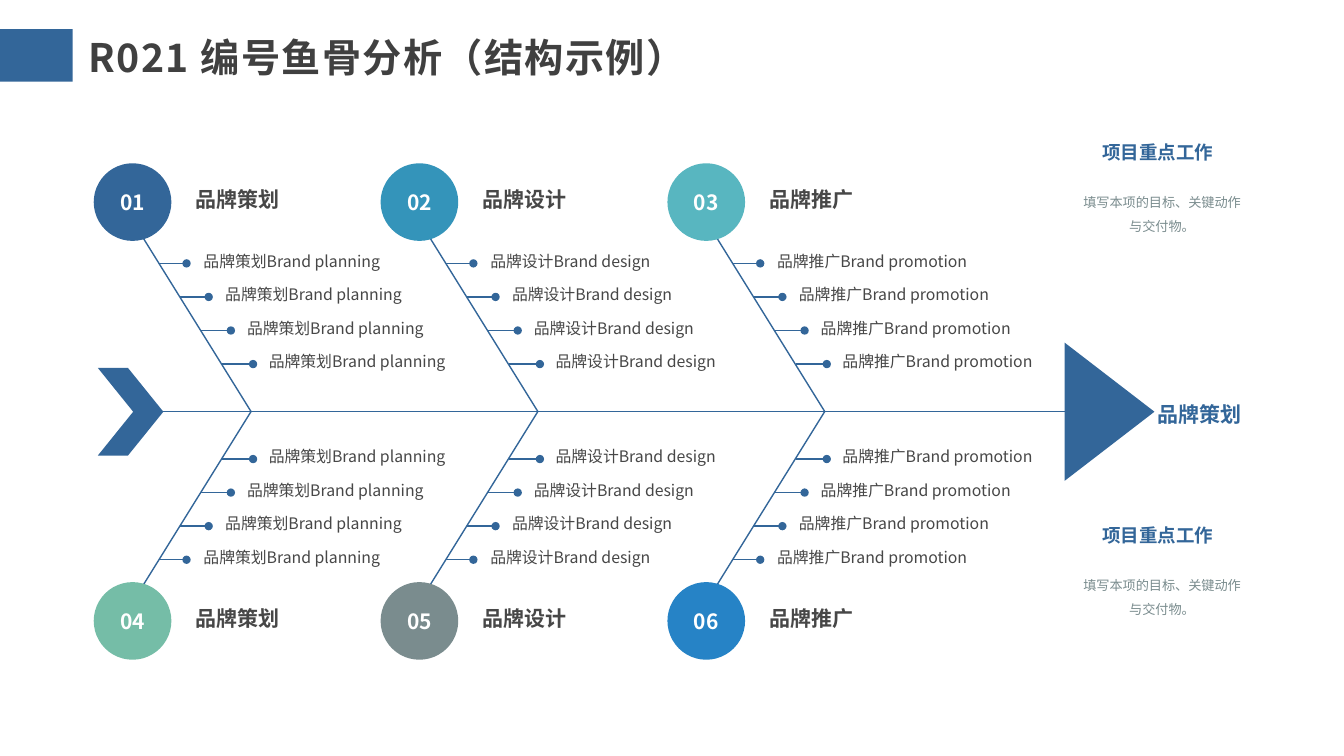
from lxml.etree import SubElement
from pptx import Presentation
from pptx.dml.color import RGBColor
from pptx.enum.shapes import MSO_CONNECTOR as Connector, MSO_SHAPE as Shape
from pptx.enum.text import MSO_ANCHOR as Anchor, MSO_AUTO_SIZE as AutoSize, PP_ALIGN as Align
from pptx.oxml.ns import qn
from pptx.util import Inches, Pt

COLORS = {
    "navy": "336699", "title": "404040", "text": "474747", "white": "FFFFFF",
    "blue": "3494BA", "teal": "58B6C0", "green": "75BDA7", "gray": "7A8C8E",
    "azure": "2683C6",
}
FONT = "Noto Sans CJK SC"
CELL = 0.1  # inches per grid column and row

BONE_PITCH = 28.45
SPINE_ROW = 40.83
TWIG_COUNT = 4
TWIG_ROW_STEP = 3.33
BRANCHES = [
    ("品牌策划", "Brand planning", "navy", "green"),
    ("品牌设计", "Brand design", "blue", "gray"),
    ("品牌推广", "Brand promotion", "teal", "azure"),
]


def grid(*cells):
    return [Inches(cell * CELL) for cell in cells]


def color(name):
    return RGBColor.from_string(COLORS[name])


def write(frame, text, size=11.3, fill="text", bold=False, align=Align.LEFT,
          anchor=Anchor.TOP, wrap=True, line_spacing=None, tracking=None):
    frame.word_wrap = wrap
    frame.vertical_anchor = anchor
    paragraph = frame.paragraphs[0]
    paragraph.alignment = align
    if line_spacing:
        paragraph.line_spacing = line_spacing
    run = paragraph.add_run()
    run.text = text
    run.font.name = FONT
    run.font.size = Pt(size)
    run.font.bold = bold
    run.font.color.rgb = color(fill)
    properties = run.font._element
    SubElement(properties, qn("a:ea"), typeface=FONT)
    if tracking:
        properties.set("spc", str(tracking * 100))


class FishboneSlide:
    def __init__(self, presentation):
        self.slide = presentation.slides.add_slide(presentation.slide_layouts[5])
        self.shapes = self.slide.shapes

    def title(self, text, left, top, width, height):
        title = self.shapes.title
        title.left, title.top, title.width, title.height = grid(left, top, width, height)
        write(title.text_frame, text, size=28, fill="title", bold=True,
              anchor=Anchor.MIDDLE, tracking=1)
        title.text_frame.auto_size = AutoSize.SHAPE_TO_FIT_TEXT

    def text(self, text, left, top, width, height, **style):
        box = self.shapes.add_textbox(*grid(left, top, width, height))
        write(box.text_frame, text, **style)
        box.text_frame.auto_size = AutoSize.SHAPE_TO_FIT_TEXT

    def shape(self, kind, left, top, width, height, fill="navy"):
        shape = self.shapes.add_shape(kind, *grid(left, top, width, height))
        shape.shadow.inherit = False
        shape.fill.solid()
        shape.fill.fore_color.rgb = color(fill)
        shape.line.fill.background()
        return shape

    def line(self, x1, y1, x2, y2, dot=False):
        connector = self.shapes.add_connector(Connector.STRAIGHT, *grid(x1, y1, x2, y2))
        connector.line.color.rgb = color("navy")
        connector.line.width = Pt(1)
        if dot:
            SubElement(connector.line._get_or_add_ln(), qn("a:tailEnd"), type="oval")
        SubElement(connector._element.spPr, qn("a:effectLst"))

    def number(self, number, left, top, fill):
        circle = self.shape(Shape.OVAL, left, top, 7.7, 7.7, fill)
        frame = circle.text_frame
        frame.margin_left = frame.margin_right = 0
        write(frame, f"{number:02d}", size=15, fill="white", bold=True,
              align=Align.CENTER, anchor=Anchor.MIDDLE, wrap=False)

    def bone(self, left, number, name, english, fill, upper):
        """Draw one slanted bone, its twigs, heading and numbered circle."""
        direction = 1 if upper else -1
        self.line(left + 4.85, SPINE_ROW - direction * 17.3, left + 15.6, SPINE_ROW, )
        for index in range(TWIG_COUNT):
            row = SPINE_ROW - direction * (14.7 - index * TWIG_ROW_STEP)
            self.line(left + 6.5 + index * 2.07, row,
                      left + 9.2 + index * 2.2, row, dot=True)
            self.text(name + english, left + 9.9 + index * 2.16, row - 1.7, 22.4, 2.8)
        circle_top = 16.2 if upper else 57.75
        self.text(name, left + 9.1, circle_top + 1.8, 10.3, 3.5, size=15, bold=True,
                  align=Align.CENTER, wrap=False)
        self.number(number, left, circle_top, fill)

    def focus(self, top):
        """Draw a key-work note whose heading starts at the given row."""
        self.text("项目重点工作", 107.7, top, 14.3, 3.2, size=13.2, fill="navy",
                  bold=True, align=Align.CENTER)
        self.text("填写本项的目标、关键动作与交付物。", 106.4, top + 4.55, 17.7, 12.5,
                  size=9.4, fill="gray", align=Align.CENTER, line_spacing=1.5)


def main():
    presentation = Presentation()
    presentation.slide_width = Inches(13.33)
    presentation.slide_height = Inches(7.5)

    fishbone = FishboneSlide(presentation)
    fishbone.shape(Shape.RECTANGLE, 0, 2.9, 7.2, 5.2)
    fishbone.title("R021 编号鱼骨分析（结构示例）", 7.8, 2.8, 102.8, 5.7)

    for index, (name, english, upper_fill, lower_fill) in enumerate(BRANCHES):
        left = 9.3 + index * BONE_PITCH
        fishbone.bone(left, index + 1, name, english, upper_fill, upper=True)
        fishbone.bone(left, index + 1 + len(BRANCHES), name, english, lower_fill, upper=False)

    fishbone.line(13.3, SPINE_ROW, 113, SPINE_ROW)
    head = fishbone.shape(Shape.ISOSCELES_TRIANGLE, 103.2, 36.4, 13.7, 8.9)
    head.rotation = 90
    tail = fishbone.shape(Shape.CHEVRON, 9.7, 36.5, 6.5, 8.7)
    tail.adjustments[0] = 0.54
    fishbone.text("品牌策划", 113.7, 39.3, 10.4, 3.5, size=15, fill="navy",
                  bold=True, align=Align.RIGHT)
    for top in (13.5, 51.45):
        fishbone.focus(top)

    presentation.save("out.pptx")


if __name__ == "__main__":
    main()
